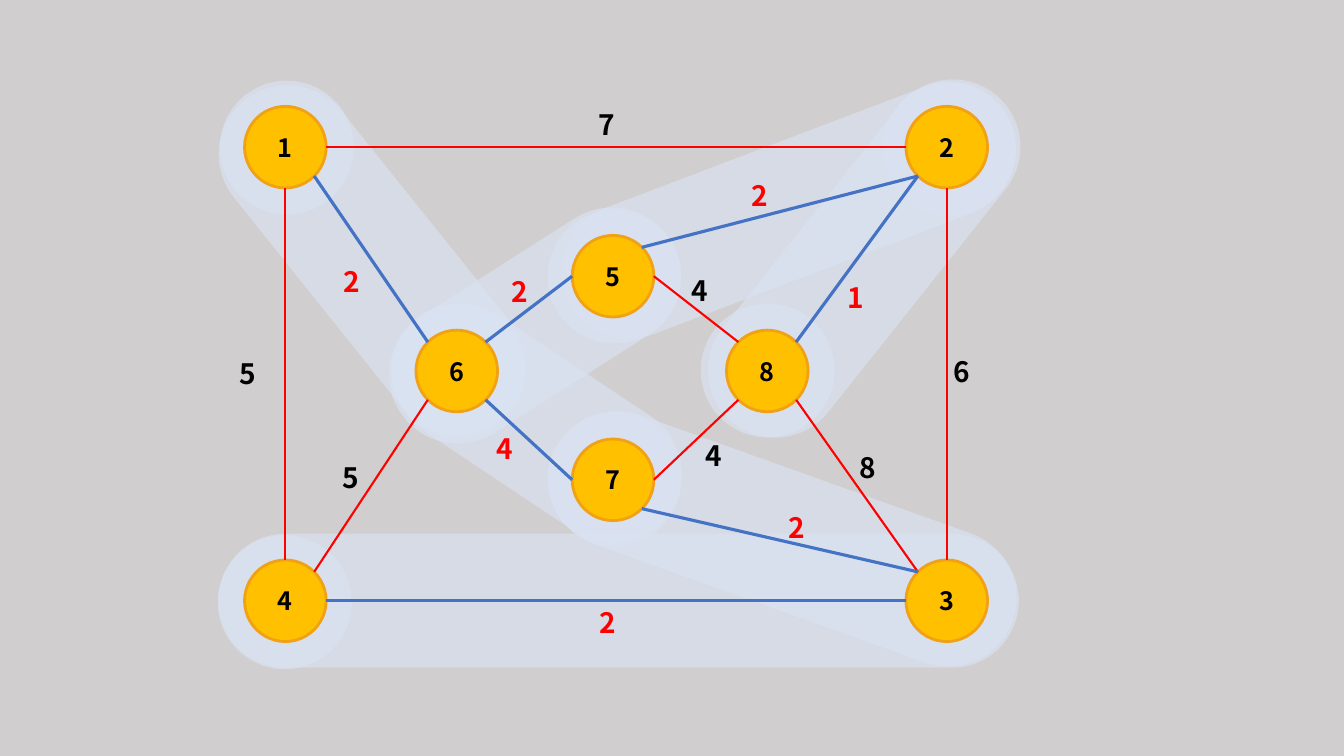
from dataclasses import dataclass
from math import cos, radians, sin

from lxml import etree
from pptx import Presentation
from pptx.dml.color import RGBColor
from pptx.enum.shapes import MSO_CONNECTOR, MSO_SHAPE
from pptx.enum.text import MSO_ANCHOR, MSO_AUTO_SIZE, PP_ALIGN
from pptx.oxml.ns import qn
from pptx.shapes.autoshape import Shape
from pptx.slide import Slide
from pptx.text.text import Font
from pptx.util import Inches, Pt

ELLIPSE, BAND_SHAPE = MSO_SHAPE.OVAL, MSO_SHAPE.ROUNDED_RECTANGLE
STRAIGHT = MSO_CONNECTOR.STRAIGHT
MIDDLE, CENTER = MSO_ANCHOR.MIDDLE, PP_ALIGN.CENTER
FIT_SHAPE = MSO_AUTO_SIZE.SHAPE_TO_FIT_TEXT

# Connection sites of an ellipse, counter-clockwise from the top
TOP, TOP_LEFT, LEFT, BOTTOM_LEFT, BOTTOM, BOTTOM_RIGHT, RIGHT, TOP_RIGHT = range(8)

NODE_SIZE = 0.81
HALO_SIZE = 1.33
LABEL_WIDTH, LABEL_HEIGHT = 0.36, 0.44


@dataclass(frozen=True)
class Theme:
    font: str = "Noto Sans CJK KR"
    node_size: float = 18
    label_size: float = 20
    node_line: float = 2
    edge_line: float = 1.5
    tree_line: float = 2.25
    background: RGBColor = RGBColor(0xD0, 0xCE, 0xCE)
    highlight: RGBColor = RGBColor(0xDA, 0xE3, 0xF3)
    highlight_opacity: int = 63
    node_fill: RGBColor = RGBColor(0xFF, 0xC0, 0x00)
    node_border: RGBColor = RGBColor(0xF1, 0xA1, 0x16)
    black: RGBColor = RGBColor(0, 0, 0)
    red: RGBColor = RGBColor(0xFF, 0, 0)
    blue: RGBColor = RGBColor(0x44, 0x72, 0xC4)


@dataclass(frozen=True)
class Highlight:
    """A rotated band along a tree edge and the halo of one of its nodes."""
    left: float
    top: float
    width: float
    height: float
    rotation: float
    halo_left: float
    halo_top: float


@dataclass(frozen=True)
class Node:
    name: str
    x: float
    y: float

    def site(self, index: int) -> tuple[float, float]:
        """Return the point of a connection site on the node's rim."""
        angle = radians(90 + 45 * index)
        radius = NODE_SIZE / 2
        return self.x + radius * cos(angle), self.y - radius * sin(angle)


@dataclass(frozen=True)
class Edge:
    start: str
    start_site: int
    end: str
    end_site: int
    weight: int
    label_left: float
    label_top: float
    in_tree: bool = False


THEME = Theme()

HIGHLIGHTS = [
    Highlight(7.9, 0.48, 1.34, 4.17, 38.5, 6.95, 3.01),
    Highlight(7.15, -0.27, 1.34, 4.72, 69.2, 8.75, 0.81),
    Highlight(3.01, 0.55, 1.37, 4.06, 321.3, 2.18, 0.8),
    Highlight(4.62, 1.64, 1.37, 3.18, 57.5, 5.43, 2.08),
    Highlight(4.64, 2.61, 1.37, 3.18, 123.7, 3.88, 3.01),
    Highlight(5.47, 1.99, 1.33, 7.94, 90, 2.16, 5.31),
    Highlight(7.08, 2.92, 1.36, 4.85, 109.7, 5.43, 4.09),
]

NODES = [
    Node("1", 2.83, 1.46),
    Node("2", 9.39, 1.46),
    Node("4", 2.83, 5.96),
    Node("3", 9.39, 5.96),
    Node("5", 6.08, 2.74),
    Node("7", 6.08, 4.76),
    Node("8", 7.61, 3.68),
    Node("6", 4.53, 3.68),
]

EDGES = [
    Edge("1", RIGHT, "2", LEFT, 7, 5.84, 1.02),
    Edge("4", TOP, "1", BOTTOM, 5, 2.28, 3.49),
    Edge("1", BOTTOM_RIGHT, "6", TOP_LEFT, 2, 3.31, 2.57, in_tree=True),
    Edge("4", TOP_RIGHT, "6", BOTTOM_LEFT, 5, 3.3, 4.52),
    Edge("6", TOP_RIGHT, "5", LEFT, 2, 4.98, 2.67, in_tree=True),
    Edge("5", RIGHT, "8", TOP_LEFT, 4, 6.76, 2.66),
    Edge("7", RIGHT, "8", BOTTOM_LEFT, 4, 6.9, 4.3),
    Edge("6", BOTTOM_RIGHT, "7", LEFT, 4, 4.83, 4.23, in_tree=True),
    Edge("4", RIGHT, "3", LEFT, 2, 5.85, 5.96, in_tree=True),
    Edge("8", TOP_RIGHT, "2", BOTTOM_LEFT, 1, 8.31, 2.73, in_tree=True),
    Edge("8", BOTTOM_RIGHT, "3", TOP_LEFT, 8, 8.43, 4.42),
    Edge("3", TOP, "2", BOTTOM, 6, 9.36, 3.47),
    Edge("5", TOP_RIGHT, "2", BOTTOM_LEFT, 2, 7.36, 1.72, in_tree=True),
    Edge("7", BOTTOM_RIGHT, "3", TOP_LEFT, 2, 7.72, 5.02, in_tree=True),
]


def set_font(font: Font, size: float, color: RGBColor) -> None:
    font.name, font.size, font.bold = THEME.font, Pt(size), True
    font.color.rgb = color


def add_filled_shape(slide: Slide, kind: MSO_SHAPE, left: float, top: float,
                     width: float, height: float, fill: RGBColor) -> Shape:
    shape = slide.shapes.add_shape(
        kind, Inches(left), Inches(top), Inches(width), Inches(height))
    shape.shadow.inherit = False
    shape.fill.solid()
    shape.fill.fore_color.rgb = fill
    shape.line.fill.background()
    return shape


def add_highlight(slide: Slide, highlight: Highlight) -> None:
    band = add_filled_shape(slide, BAND_SHAPE, highlight.left, highlight.top,
                            highlight.width, highlight.height, THEME.highlight)
    band.adjustments[0] = 0.5
    band.rotation = highlight.rotation
    halo = add_filled_shape(slide, ELLIPSE, highlight.halo_left, highlight.halo_top,
                            HALO_SIZE, HALO_SIZE, THEME.highlight)
    for shape in (band, halo):
        color = shape.element.spPr.find(qn("a:solidFill")).find(qn("a:srgbClr"))
        etree.SubElement(color, qn("a:alpha"), val=str(THEME.highlight_opacity * 1000))


def add_node(slide: Slide, node: Node) -> Shape:
    shape = add_filled_shape(slide, ELLIPSE, node.x - NODE_SIZE / 2,
                             node.y - NODE_SIZE / 2, NODE_SIZE, NODE_SIZE,
                             THEME.node_fill)
    shape.line.color.rgb = THEME.node_border
    shape.line.width = Pt(THEME.node_line)
    shape.text_frame.vertical_anchor = MIDDLE
    paragraph = shape.text_frame.paragraphs[0]
    paragraph.text = node.name
    paragraph.alignment = CENTER
    set_font(paragraph.font, THEME.node_size, THEME.black)
    return shape


def add_edge(slide: Slide, edge: Edge, nodes: dict[str, Node],
             shapes: dict[str, Shape]) -> None:
    """Draw an edge glued to the rim sites of its two nodes."""
    start = nodes[edge.start].site(edge.start_site)
    end = nodes[edge.end].site(edge.end_site)
    connector = slide.shapes.add_connector(
        STRAIGHT, *(Inches(length) for length in start + end))
    connector.line.color.rgb = THEME.blue if edge.in_tree else THEME.red
    connector.line.width = Pt(THEME.tree_line if edge.in_tree else THEME.edge_line)
    etree.SubElement(connector.element.spPr, qn("a:effectLst"))
    properties = connector.element.nvCxnSpPr.cNvCxnSpPr
    for tag, name, site in (("a:stCxn", edge.start, edge.start_site),
                            ("a:endCxn", edge.end, edge.end_site)):
        etree.SubElement(properties, qn(tag), id=str(shapes[name].shape_id), idx=str(site))


def add_weight(slide: Slide, edge: Edge) -> None:
    box = slide.shapes.add_textbox(Inches(edge.label_left), Inches(edge.label_top),
                                   Inches(LABEL_WIDTH), Inches(LABEL_HEIGHT))
    box.text_frame.word_wrap = False
    box.text_frame.auto_size = FIT_SHAPE
    paragraph = box.text_frame.paragraphs[0]
    paragraph.text = str(edge.weight)
    set_font(paragraph.font, THEME.label_size, THEME.red if edge.in_tree else THEME.black)


def main() -> None:
    presentation = Presentation()
    presentation.slide_width, presentation.slide_height = Inches(13.33), Inches(7.5)
    slide = presentation.slides.add_slide(presentation.slide_layouts[6])
    slide.background.fill.solid()
    slide.background.fill.fore_color.rgb = THEME.background
    for highlight in HIGHLIGHTS:
        add_highlight(slide, highlight)
    nodes = {node.name: node for node in NODES}
    shapes = {node.name: add_node(slide, node) for node in NODES}
    for edge in EDGES:
        add_edge(slide, edge, nodes, shapes)
    for edge in EDGES:
        add_weight(slide, edge)
    presentation.save("out.pptx")


if __name__ == "__main__":
    main()
